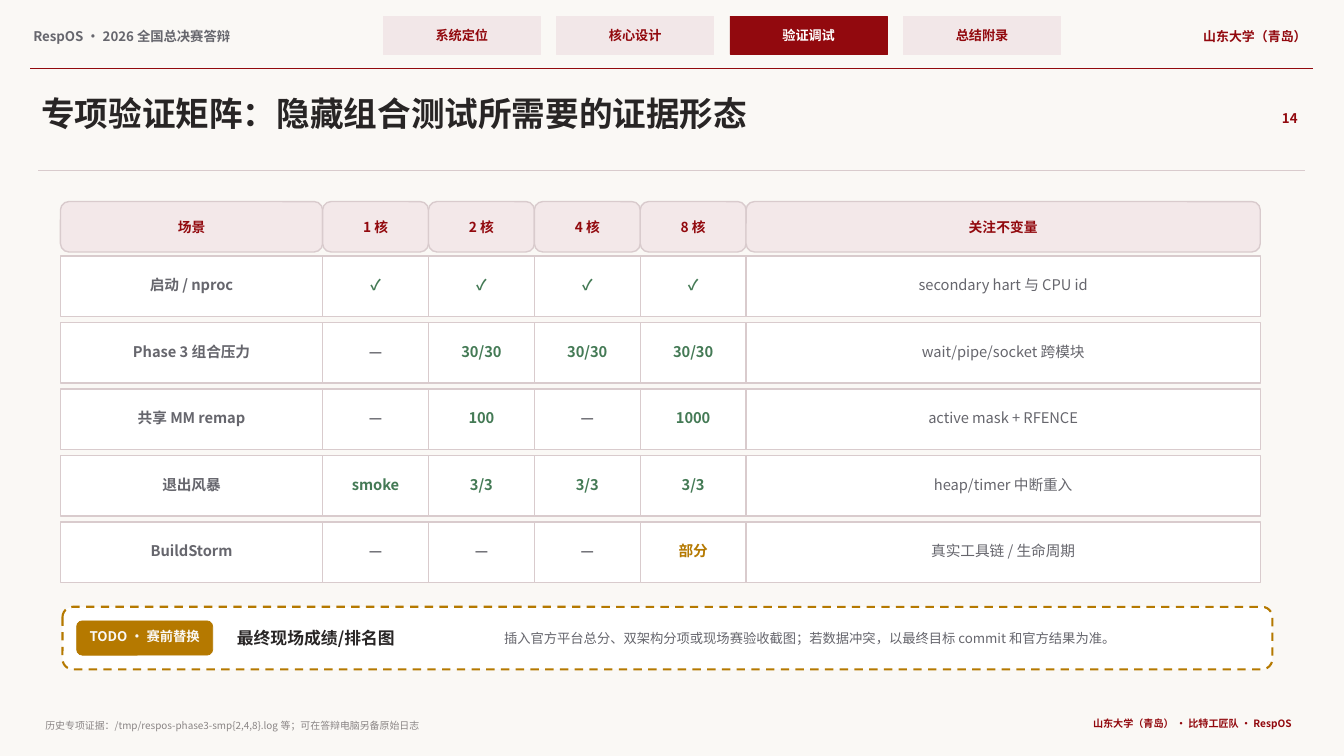
from itertools import accumulate

from lxml.etree import SubElement
from pptx import Presentation
from pptx.dml.color import RGBColor
from pptx.enum.dml import MSO_LINE
from pptx.enum.shapes import MSO_CONNECTOR, MSO_SHAPE
from pptx.enum.text import MSO_ANCHOR, MSO_AUTO_SIZE, PP_ALIGN
from pptx.oxml.ns import qn
from pptx.util import Inches, Pt

FONT = "Noto Sans CJK SC"
PAPER = RGBColor(0xFA, 0xF8, 0xF5)
WHITE = RGBColor(0xFF, 0xFF, 0xFF)
RED = RGBColor(0x92, 0x09, 0x0E)
TAB_PINK = RGBColor(0xF2, 0xE7, 0xE8)
HEAD_PINK = RGBColor(0xF3, 0xE8, 0xE9)
BORDER = RGBColor(0xD9, 0xCB, 0xCD)
INK = RGBColor(0x28, 0x25, 0x25)
GREY = RGBColor(0x66, 0x66, 0x6D)
PALE_GREY = RGBColor(0x8A, 0x85, 0x85)
GREEN = RGBColor(0x44, 0x7A, 0x55)
AMBER = RGBColor(0xB5, 0x79, 0x00)

TABS = ["系统定位", "核心设计", "验证调试", "总结附录"]
ACTIVE_TAB = "验证调试"
COLUMN_WIDTHS = [2.6, 1.05, 1.05, 1.05, 1.05, 5.1]
HEADERS = ["场景", "1 核", "2 核", "4 核", "8 核", "关注不变量"]
ROWS = [
    ["启动 / nproc", "✓", "✓", "✓", "✓", "secondary hart 与 CPU id"],
    ["Phase 3 组合压力", "—", "30/30", "30/30", "30/30", "wait/pipe/socket 跨模块"],
    ["共享 MM remap", "—", "100", "—", "1000", "active mask + RFENCE"],
    ["退出风暴", "smoke", "3/3", "3/3", "3/3", "heap/timer 中断重入"],
    ["BuildStorm", "—", "—", "—", "部分", "真实工具链 / 生命周期"],
]


def write(sp, text, size, color, bold=True, align=PP_ALIGN.LEFT):
    tf = sp.text_frame
    tf.text = text
    tf.word_wrap = True
    tf.vertical_anchor = MSO_ANCHOR.MIDDLE
    tf.margin_left = tf.margin_right = Inches(0.03)
    tf.margin_top = tf.margin_bottom = Inches(0.03)
    p = tf.paragraphs[0]
    p.alignment = align
    r = p.runs[0]
    r.font.name = FONT
    r.font.size = Pt(size)
    r.font.bold = bold
    r.font.color.rgb = color
    SubElement(r.font._element, qn("a:ea"), typeface=FONT)


def add_label(s, x, y, w, h, text, size, color, **style):
    sp = s.shapes.add_textbox(Inches(x), Inches(y), Inches(w), Inches(h))
    write(sp, text, size, color, **style)
    sp.text_frame.auto_size = MSO_AUTO_SIZE.SHAPE_TO_FIT_TEXT


def add_box(s, kind, x, y, w, h, fill, line, weight):
    sp = s.shapes.add_shape(kind, Inches(x), Inches(y), Inches(w), Inches(h))
    sp.shadow.inherit = False
    sp.fill.solid()
    sp.fill.fore_color.rgb = fill
    sp.line.color.rgb = line
    sp.line.width = Pt(weight)
    return sp


def add_rule(s, x, y, w, color, weight):
    rule = s.shapes.add_connector(
        MSO_CONNECTOR.STRAIGHT, Inches(x), Inches(y), Inches(x + w), Inches(y))
    rule.line.color.rgb = color
    rule.line.width = Pt(weight)
    SubElement(rule._element.spPr, qn("a:effectLst"))


def add_nav_bar(s, x, y, w, h):
    add_label(s, x, y + 0.08, 3.35, 0.24, "RespOS · 2026 全国总决赛答辩", 9.5, GREY)
    for i, name in enumerate(TABS):
        active = name == ACTIVE_TAB
        fill = RED if active else TAB_PINK
        tab = add_box(s, MSO_SHAPE.RECTANGLE, x + 3.5 + 1.72 * i, y, 1.56, 0.38,
                      fill, fill, 0.5)
        write(tab, name, 9.4, WHITE if active else RED, align=PP_ALIGN.CENTER)
    add_label(s, x + w - 1.67, y + 0.08, 1.64, 0.24, "山东大学（青岛）", 9.2, RED,
              align=PP_ALIGN.RIGHT)
    add_rule(s, x, y + h, w, RED, 1.1)


def add_heading(s, x, y, w, h):
    title = s.shapes.title
    title.left, title.top = Inches(x), Inches(y)
    title.width, title.height = Inches(11.85), Inches(0.48)
    write(title, "专项验证矩阵：隐藏组合测试所需要的证据形态", 24, INK)
    title.text_frame.auto_size = MSO_AUTO_SIZE.NONE
    add_label(s, x + w - 0.46, y + 0.17, 0.42, 0.24, "14", 9.5, RED,
              align=PP_ALIGN.RIGHT)
    add_rule(s, x, y + h, w, BORDER, 0.9)


def result_color(text):
    return {"—": GREY, "部分": AMBER}.get(text, GREEN)


def add_matrix(s, x, y):
    lefts = [x + offset for offset in accumulate([0] + COLUMN_WIDTHS[:-1])]
    last = len(HEADERS) - 1
    # Header row
    for left, width, text in zip(lefts, COLUMN_WIDTHS, HEADERS):
        cell = add_box(s, MSO_SHAPE.ROUNDED_RECTANGLE, left, y, width, 0.5,
                       HEAD_PINK, BORDER, 1)
        write(cell, text, 9.8, RED, align=PP_ALIGN.CENTER)
    # Separate body rows
    for i, row in enumerate(ROWS):
        top = y + 0.54 + 0.66 * i
        for j, (left, width, text) in enumerate(zip(lefts, COLUMN_WIDTHS, row)):
            cell = add_box(s, MSO_SHAPE.RECTANGLE, left, top, width, 0.6,
                           WHITE, BORDER, 1)
            color = result_color(text) if 0 < j < last else GREY
            write(cell, text, 10.5, color, bold=j < last, align=PP_ALIGN.CENTER)
            cell.text_frame.margin_bottom = Inches(0.06)


def add_todo(s, x, y, w, h):
    frame = add_box(s, MSO_SHAPE.ROUNDED_RECTANGLE, x, y, w, h, WHITE, AMBER, 1.5)
    frame.line.dash_style = MSO_LINE.DASH
    badge = add_box(s, MSO_SHAPE.ROUNDED_RECTANGLE, x + 0.14, y + 0.14, 1.35, 0.34,
                    AMBER, AMBER, 0.5)
    write(badge, "TODO · 赛前替换", 9.5, PAPER, align=PP_ALIGN.CENTER)
    badge.text_frame.margin_bottom = Inches(0.06)
    add_label(s, x + 1.7, y + 0.1, 2.55, 0.42, "最终现场成绩/排名图", 12, INK)
    add_label(s, x + 4.35, y + 0.09, 7.47, 0.44,
              "插入官方平台总分、双架构分项或现场赛验收截图；若数据冲突，"
              "以最终目标 commit 和官方结果为准。", 9.5, GREY, bold=False)


def add_footer(s, x, y, w):
    add_label(s, x, y + 0.03, 9.7, 0.17,
              "历史专项证据：/tmp/respos-phase3-smp{2,4,8}.log 等；可在答辩电脑另备原始日志",
              7.1, PALE_GREY, bold=False)
    add_label(s, x + w - 3.12, y, 3.12, 0.2, "山东大学（青岛） · 比特工匠队 · RespOS",
              7.2, RED, align=PP_ALIGN.RIGHT)


def main():
    prs = Presentation()
    prs.slide_width, prs.slide_height = Inches(13.33), Inches(7.5)
    s = prs.slides.add_slide(prs.slide_layouts[5])
    s.background.fill.solid()
    s.background.fill.fore_color.rgb = PAPER
    add_nav_bar(s, 0.3, 0.16, 12.72, 0.52)
    add_heading(s, 0.38, 0.88, 12.56, 0.81)
    add_matrix(s, 0.6, 2)
    add_todo(s, 0.62, 6.02, 12, 0.62)
    add_footer(s, 0.42, 7.08, 12.42)
    prs.save("out.pptx")


if __name__ == "__main__":
    main()
